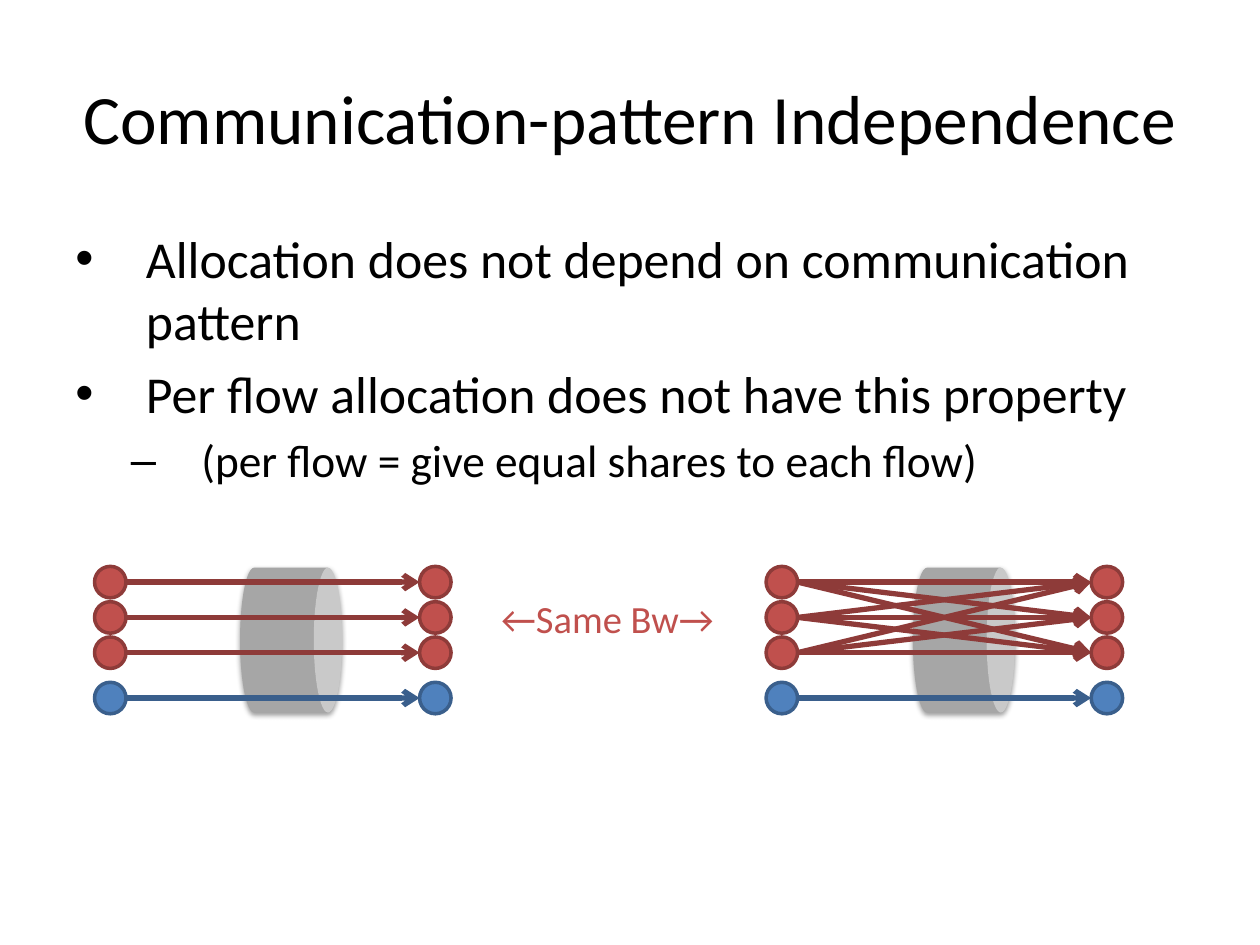
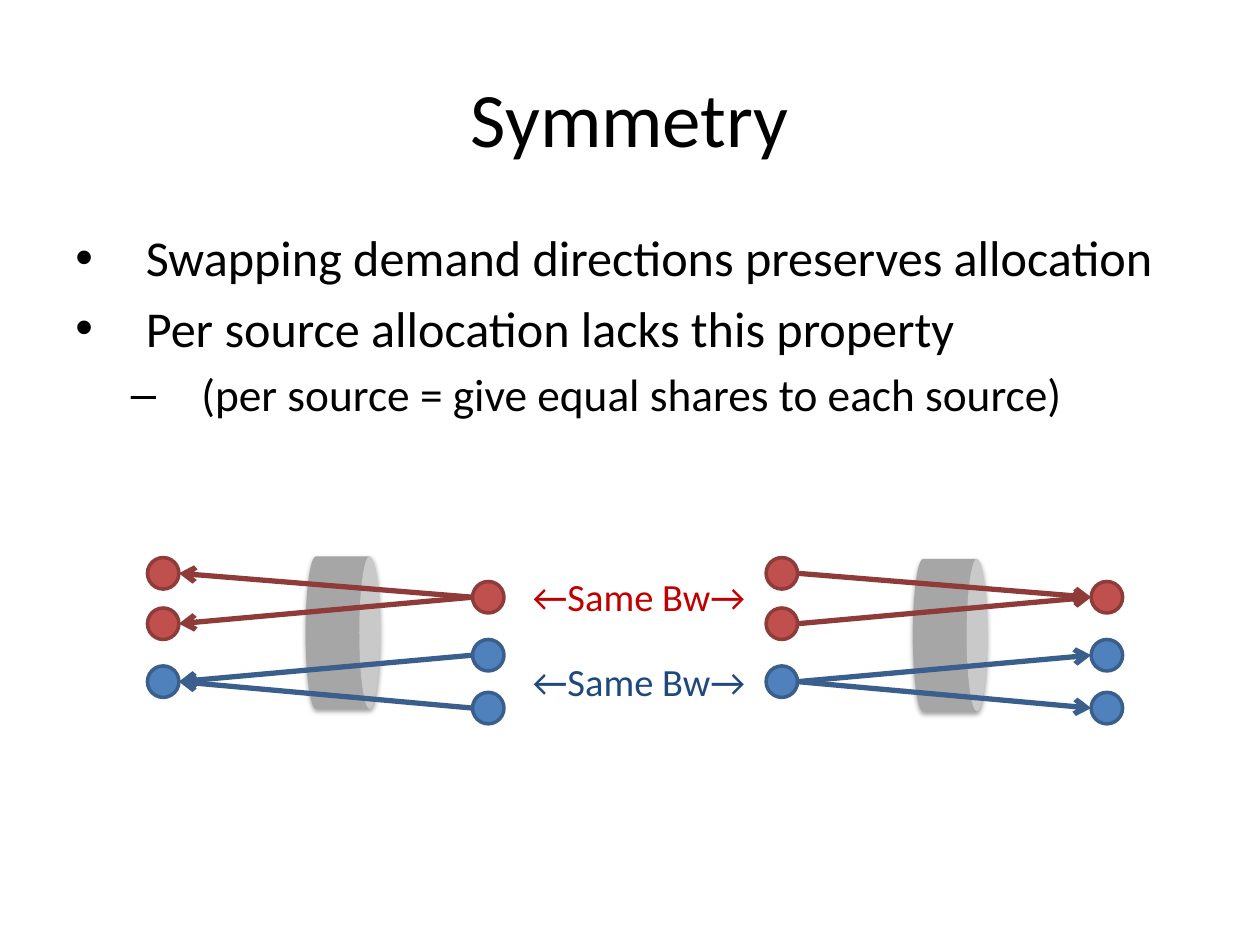
from lxml.etree import SubElement
from pptx import Presentation
from pptx.dml.color import RGBColor
from pptx.enum.shapes import MSO_CONNECTOR, MSO_SHAPE
from pptx.enum.text import MSO_ANCHOR, PP_ALIGN
from pptx.oxml.ns import qn
from pptx.util import Inches, Pt

FONT = "Calibri"
COLORS = {
    "text": "000000",
    "pipe": "A6A6A6",
    "shadow": "000000",
    "red": "C0504D",
    "red_edge": "8E3B39",
    "blue": "4F81BD",
    "blue_edge": "3A5F8C",
    "strong_red": "C00000",
    "strong_blue": "1F497D",
}
NODE_SIZE = 0.25
COLUMN_GAP = 2.58  # between the left edges of the two node columns
SAME_BANDWIDTH = "←Same Bw→"


def rgb(name):
    return RGBColor.from_string(COLORS[name])


def style_paragraph(paragraph, size, color):
    for run in paragraph.runs:
        run.font.name = FONT
        run.font.size = Pt(size)
        run.font.color.rgb = rgb(color)


def add_text_frame(slide, left, top, width, height, wrap=True):
    frame = slide.shapes.add_textbox(
        Inches(left), Inches(top), Inches(width), Inches(height)).text_frame
    frame.word_wrap = wrap
    return frame


def add_title(slide, title, size):
    frame = add_text_frame(slide, 0.5, 0.3, 9, 1.25)
    frame.vertical_anchor = MSO_ANCHOR.MIDDLE
    frame.text = title
    frame.paragraphs[0].alignment = PP_ALIGN.CENTER
    style_paragraph(frame.paragraphs[0], size, "text")


def add_bullets(slide, height, points, detail, size):
    """List the points at the first level and the detail below them."""
    frame = add_text_frame(slide, 0.5, 1.75, 9, height)
    frame.text = "\n".join([*points, detail])
    for paragraph in frame.paragraphs:
        is_detail = paragraph.text == detail
        text_size = 25.9 if is_detail else size
        paragraph.level = int(is_detail)
        paragraph.space_before = Pt(round(0.2 * text_size, 1))
        properties = paragraph._p.get_or_add_pPr()
        properties.set("marL", str(Inches(1 if is_detail else 0.56)))
        properties.set("indent", str(Inches(-0.56)))
        SubElement(properties, qn("a:buFont"), typeface="Arial")
        SubElement(properties, qn("a:buChar"), char="–" if is_detail else "•")
        style_paragraph(paragraph, text_size, "text")


def add_bandwidth_label(slide, left, top, color):
    frame = add_text_frame(slide, left, top, 1.96, 0.47, wrap=False)
    frame.text = SAME_BANDWIDTH
    style_paragraph(frame.paragraphs[0], 22, color)


def add_pipe(slide, center, length, thickness):
    """Draw a can lying on its side, with a soft shadow below it."""
    x, y = center
    pipe = slide.shapes.add_shape(
        MSO_SHAPE.CAN, Inches(x - length / 2), Inches(y - thickness / 2),
        Inches(length), Inches(thickness))
    pipe.rotation = 90
    pipe.adjustments[0] = 0.278
    pipe.fill.solid()
    pipe.fill.fore_color.rgb = rgb("pipe")
    pipe.line.fill.background()
    pipe.shadow.inherit = False
    effects = pipe._element.spPr.find(qn("a:effectLst"))
    shadow = SubElement(
        effects, qn("a:outerShdw"), blurRad=str(Pt(3.1)), dist=str(Pt(1.6)),
        dir="5400000", rotWithShape="0")
    shadow_color = SubElement(shadow, qn("a:srgbClr"), val=COLORS["shadow"])
    SubElement(shadow_color, qn("a:alpha"), val="38000")


def add_node(slide, left, center_y, color):
    node = slide.shapes.add_shape(
        MSO_SHAPE.OVAL, Inches(left), Inches(center_y - NODE_SIZE / 2),
        Inches(NODE_SIZE), Inches(NODE_SIZE))
    node.shadow.inherit = False
    node.fill.solid()
    node.fill.fore_color.rgb = rgb(color)
    node.line.color.rgb = rgb(color + "_edge")
    node.line.width = Pt(2)


def add_flow(slide, start, end, color, arrow_end):
    """Draw a flow; arrow_end is headEnd (at start) or tailEnd (at end)."""
    flow = slide.shapes.add_connector(
        MSO_CONNECTOR.STRAIGHT, *(Inches(value) for value in (*start, *end)))
    flow.line.color.rgb = rgb(color + "_edge")
    flow.line.width = Pt(3)
    properties = flow._element.spPr
    SubElement(properties.find(qn("a:ln")), qn(f"a:{arrow_end}"), type="arrow")
    SubElement(properties, qn("a:effectLst"))


def add_network(slide, left, left_nodes, right_nodes, links,
                arrow_end="tailEnd"):
    """Draw two columns of (color, center y) nodes and the linked pairs."""
    right = left + COLUMN_GAP
    for column, nodes in ((left, left_nodes), (right, right_nodes)):
        for color, y in nodes:
            add_node(slide, column, y, color)
    for source, target in links:
        color, source_y = left_nodes[source]
        add_flow(slide, (left + NODE_SIZE, source_y),
                 (right, right_nodes[target][1]), color, arrow_end)


def build_independence(slide):
    for center_x in (2.31, 7.65):
        add_pipe(slide, (center_x, 5.08), 1.15, 0.81)
    add_title(slide, "Communication-pattern Independence", 39.6)
    add_bullets(slide, 2.33,
                ["Allocation does not depend on communication pattern",
                 "Per flow allocation does not have this property"],
                "(per flow = give equal shares to each flow)", 29.6)
    nodes = [("red", 4.62), ("red", 4.9), ("red", 5.18), ("blue", 5.54)]
    one_to_one = [(row, row) for row in range(4)]
    all_to_all = [(source, target) for source in range(3) for target in range(3)]
    add_network(slide, 0.75, nodes, nodes, one_to_one)
    add_network(slide, 6.08, nodes, nodes, all_to_all + [(3, 3)])
    add_bandwidth_label(slide, 3.88, 4.67, "red")


def build_symmetry(slide):
    for center in ((2.72, 5.02), (7.54, 5.04)):
        add_pipe(slide, center, 1.21, 0.59)
    add_title(slide, "Symmetry", 44)
    add_bullets(slide, 2,
                ["Swapping demand directions preserves allocation",
                 "Per source allocation lacks this property"],
                "(per source = give equal shares to each source)", 28.7)
    left_nodes = [("red", 4.55), ("red", 4.95), ("blue", 5.41)]
    right_nodes = [("red", 4.74), ("blue", 5.2), ("blue", 5.62)]
    links = [(0, 0), (1, 0), (2, 1), (2, 2)]
    for left, arrow_end in ((1.17, "headEnd"), (6.08, "tailEnd")):
        add_network(slide, left, left_nodes, right_nodes, links, arrow_end)
    add_bandwidth_label(slide, 4.13, 4.5, "strong_red")
    add_bandwidth_label(slide, 4.13, 5.17, "strong_blue")


def main():
    deck = Presentation()
    deck.slide_width = Inches(10)
    deck.slide_height = Inches(7.5)
    blank = deck.slide_layouts[6]
    for build in (build_independence, build_symmetry):
        build(deck.slides.add_slide(blank))
    deck.save("out.pptx")


if __name__ == "__main__":
    main()
